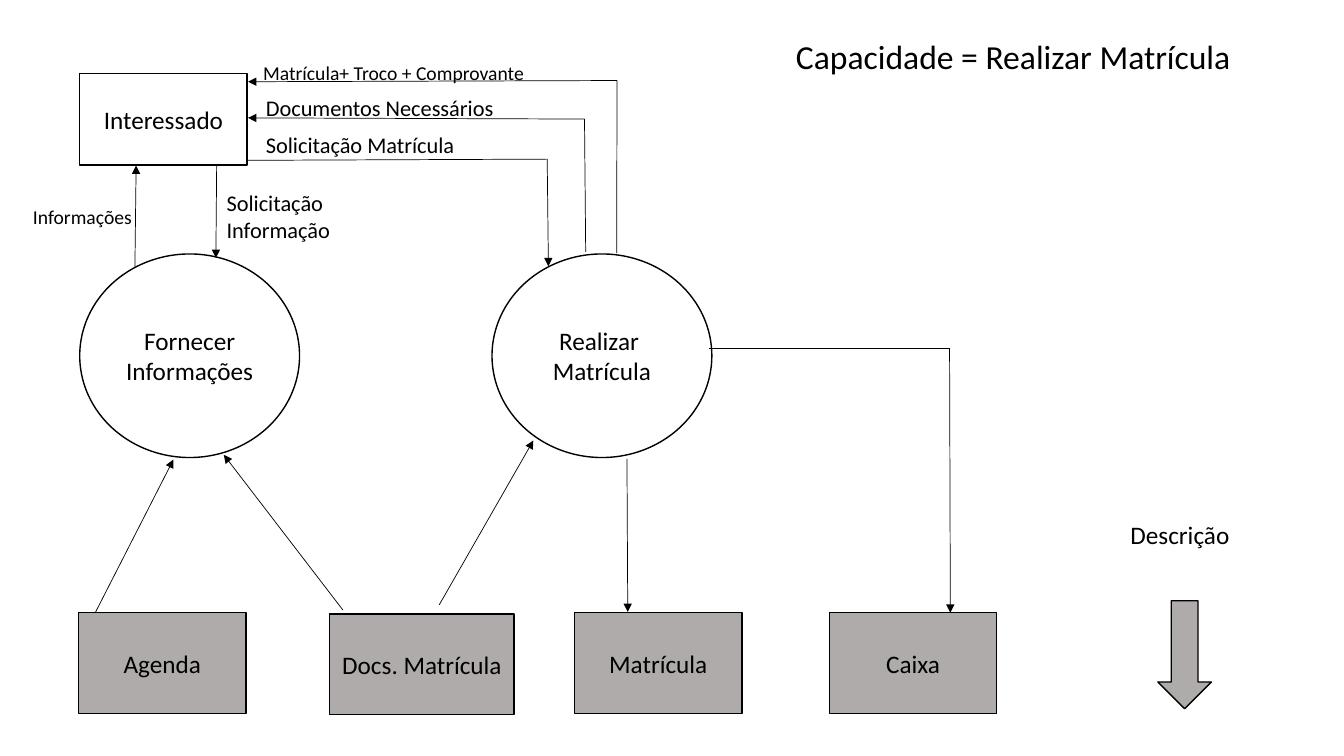
from dataclasses import dataclass
from itertools import pairwise

from lxml.etree import SubElement
from pptx import Presentation
from pptx.dml.color import RGBColor
from pptx.enum.shapes import MSO_CONNECTOR, MSO_SHAPE
from pptx.enum.text import MSO_ANCHOR, MSO_AUTO_SIZE, PP_ALIGN
from pptx.oxml.ns import qn
from pptx.util import Cm, Pt


@dataclass(frozen=True)
class Theme:
    """Colours, font, type sizes and line widths of the diagram."""

    ink: RGBColor = RGBColor(0, 0, 0)
    paper: RGBColor = RGBColor(255, 255, 255)
    store: RGBColor = RGBColor(0xAF, 0xAB, 0xAB)
    font: str = "Calibri"
    title: int = 24
    body: int = 18
    flow: int = 16
    small: int = 14
    outline: float = 1
    arrow: float = 0.5


THEME = Theme()


def write_text(text_frame, text, size, alignment):
    """Fill a text frame, one paragraph per line of text."""
    text_frame.word_wrap = True
    text_frame.text = text
    for paragraph in text_frame.paragraphs:
        paragraph.alignment = alignment
        for run in paragraph.runs:
            run.font.name = THEME.font
            run.font.size = Pt(size)
            run.font.color.rgb = THEME.ink


def add_node(slide, kind, box, fill, text=""):
    """Draw an outlined preset shape with centred text."""
    shape = slide.shapes.add_shape(kind, *map(Cm, box))
    shape.shadow.inherit = False
    shape.fill.solid()
    shape.fill.fore_color.rgb = fill
    shape.line.color.rgb = THEME.ink
    shape.line.width = Pt(THEME.outline)
    shape.text_frame.vertical_anchor = MSO_ANCHOR.MIDDLE
    if text:
        write_text(shape.text_frame, text, THEME.body, PP_ALIGN.CENTER)


def add_label(slide, box, text, size):
    """Place a left-aligned text box."""
    text_box = slide.shapes.add_textbox(*map(Cm, box))
    write_text(text_box.text_frame, text, size, PP_ALIGN.LEFT)
    text_box.text_frame.auto_size = MSO_AUTO_SIZE.SHAPE_TO_FIT_TEXT


def add_flow(slide, *points):
    """Join the points with straight lines and put an arrowhead on the last."""
    for start, end in pairwise(points):
        connector = slide.shapes.add_connector(
            MSO_CONNECTOR.STRAIGHT, *map(Cm, (*start, *end))
        )
        connector.line.color.rgb = THEME.ink
        connector.line.width = Pt(THEME.arrow)
        properties = connector._element.spPr
        SubElement(properties, qn("a:effectLst"))
    SubElement(properties.find(qn("a:ln")), qn("a:tailEnd"), type="triangle")


def add_nodes(slide):
    """Draw the external entity, the processes and the data stores."""
    add_node(slide, MSO_SHAPE.RECTANGLE, (2.01, 1.85, 4.22, 2.31), THEME.paper, "Interessado")
    for left, text in ((2.01, "Fornecer Informações"), (12.4, "Realizar\u00a0\nMatrícula")):
        add_node(slide, MSO_SHAPE.OVAL, (left, 6.4, 5.54, 5.13), THEME.paper, text)
    stores = (
        (1.98, 15.44, 4.22, "Agenda"),
        (8.31, 15.47, 4.65, "Docs. Matrícula"),
        (14.48, 15.44, 4.22, "Matrícula"),
        (20.9, 15.44, 4.22, "Caixa"),
    )
    for left, top, width, text in stores:
        add_node(slide, MSO_SHAPE.RECTANGLE, (left, top, width, 2.54), THEME.store, text)
    add_node(slide, MSO_SHAPE.DOWN_ARROW, (29.18, 15.14, 1.35, 2.72), THEME.store)


def add_flows(slide):
    """Draw the arrows between entity, processes and stores."""
    flows = (
        ((5.46, 4.17), (5.44, 6.5)),
        ((3.4, 6.73), (3.43, 4.17)),
        ((2.41, 15.42), (4.37, 11.58)),
        ((8.64, 15.37), (5.64, 11.46)),
        ((11.07, 15.24), (13.44, 11.1)),
        ((15.8, 11.56), (15.82, 15.42)),
        ((17.86, 8.79), (23.93, 8.79), (23.95, 15.44)),
        ((6.22, 4.04), (13.79, 4.01), (13.82, 6.71)),
        ((14.76, 6.35), (14.73, 3), (6.25, 2.97)),
        ((15.54, 6.38), (15.55, 2.03), (6.25, 2.06)),
    )
    for points in flows:
        add_flow(slide, *points)


def add_labels(slide):
    """Write the title and the names of the flows."""
    labels = (
        ((19.81, 0.79, 11.68, 1.27), "Capacidade = Realizar Matrícula", THEME.title),
        ((6.38, 1.42, 9.35, 0.86), "Matrícula+ Troco + Comprovante", THEME.small),
        ((6.45, 2.24, 10.36, 0.94), "Documentos Necessários", THEME.flow),
        ((6.45, 3.18, 7.06, 0.94), "Solicitação Matrícula", THEME.flow),
        ((5.46, 4.65, 7.62, 1.63), "Solicitação\u00a0\nInformação", THEME.flow),
        ((0.58, 5.03, 4.85, 0.86), "Informações", THEME.small),
        ((28.24, 12.95, 5.4, 1.02), "Descrição", THEME.body),
    )
    for box, text, size in labels:
        add_label(slide, box, text, size)


def main():
    """Build the data flow slide and save it."""
    presentation = Presentation()
    presentation.slide_width = Cm(33.87)
    presentation.slide_height = Cm(19.05)
    slide = presentation.slides.add_slide(presentation.slide_layouts[6])
    add_nodes(slide)
    add_flows(slide)
    add_labels(slide)
    presentation.save("out.pptx")


main()
